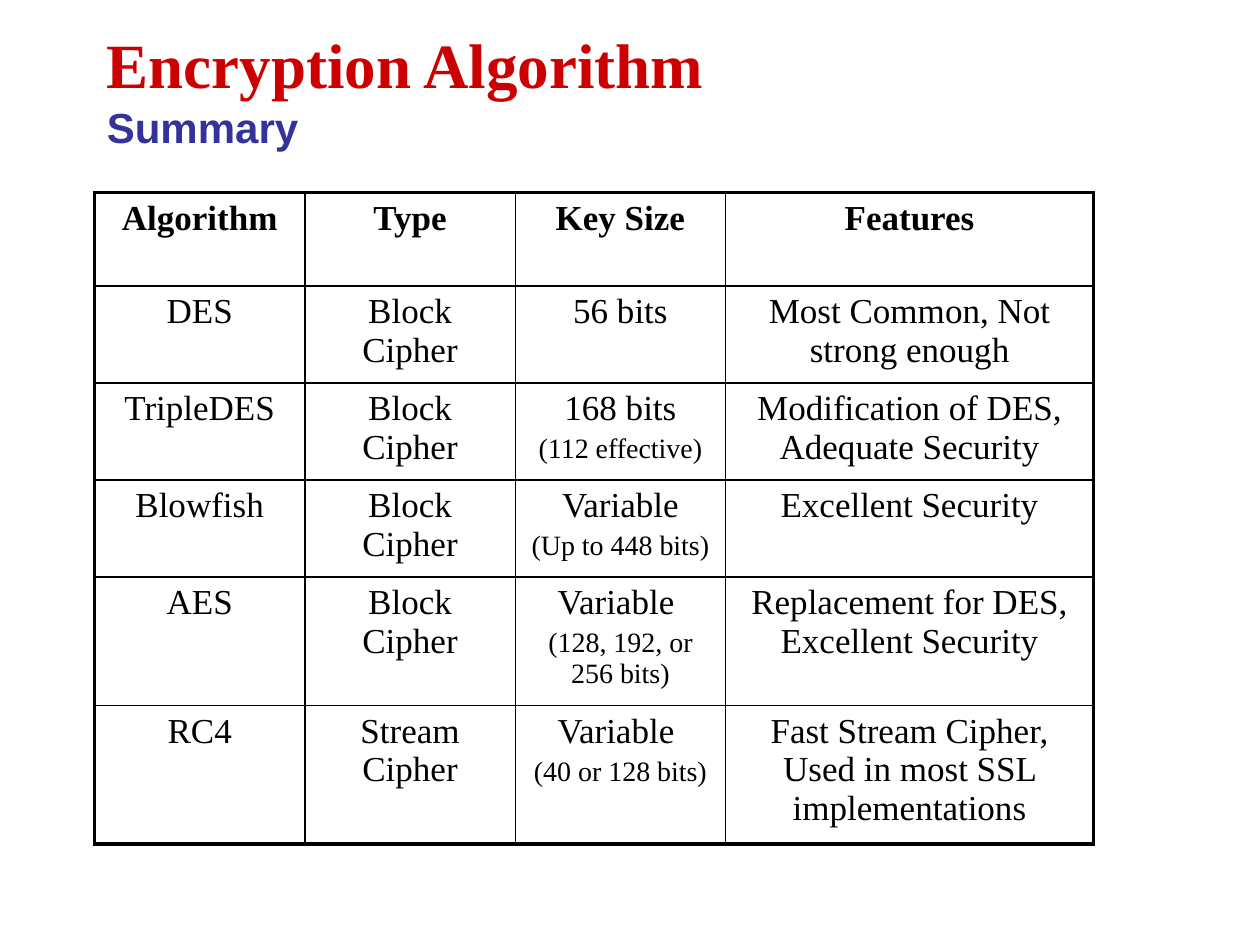
import dataclasses
import lxml.etree
import pptx
import pptx.dml.color
import pptx.enum.text
import pptx.oxml.ns
import pptx.util

RED = pptx.dml.color.RGBColor(0xCC, 0x00, 0x00)
BLUE = pptx.dml.color.RGBColor(0x33, 0x33, 0x99)
BLACK = pptx.dml.color.RGBColor(0x00, 0x00, 0x00)
SERIF = "Times New Roman"
SANS = "Arial"
WIDE, HIGH = 10, 7.5
LEFT = 0.075 * WIDE
COLS = [1.67, 1.67, 1.67, 2.92]
ROWS = [0.74, 0.77, 0.77, 0.77, 1.02, 1.1]
THIN, THICK = 1, 2.25


@dataclasses.dataclass
class Entry:
    name: str
    kind: str
    size: str
    note: str
    trait: str

    def cells(self) -> list[list[str]]:
        sizes = [self.size, self.note] if self.note else [self.size]
        return [[self.name], [self.kind], sizes, [self.trait]]


ENTRIES = [
    Entry("Algorithm", "Type", "Key Size", "", "Features"),
    Entry("DES", "Block Cipher", "56 bits", "", "Most Common, Not strong enough"),
    Entry("TripleDES", "Block Cipher", "168 bits", "(112 effective)",
          "Modification of DES, Adequate Security"),
    Entry("Blowfish", "Block Cipher", "Variable", "(Up to 448 bits)", "Excellent Security"),
    Entry("AES", "Block Cipher", "Variable ", "(128, 192, or 256 bits)",
          "Replacement for DES, Excellent Security"),
    Entry("RC4", "Stream Cipher", "Variable ", "(40 or 128 bits)",
          "Fast Stream Cipher, Used in most SSL implementations"),
]


def style(font, size: float, face: str, color, bold: bool) -> None:
    font.size = pptx.util.Pt(size)
    font.name = face
    font.color.rgb = color
    font.bold = bold


def draw_title(slide) -> None:
    box = slide.shapes.add_textbox(
        *map(pptx.util.Inches, (LEFT, 0.08, 0.85 * WIDE, HIGH / 6)))
    frame = box.text_frame
    frame.word_wrap = True
    frame.vertical_anchor = pptx.enum.text.MSO_ANCHOR.MIDDLE
    para = frame.paragraphs[0]
    head = para.add_run()
    head.text = "Encryption Algorithm "
    style(head.font, 36, SERIF, RED, True)
    para.add_line_break()
    sub = para.add_run()
    sub.text = "Summary"
    style(sub.font, 24, SANS, BLUE, True)


def edge(cell, tag: str, width: float) -> None:
    props = cell._tc.get_or_add_tcPr()
    line = lxml.etree.SubElement(
        props, pptx.oxml.ns.qn(tag), w=str(int(pptx.util.Pt(width))))
    fill = lxml.etree.SubElement(line, pptx.oxml.ns.qn("a:solidFill"))
    lxml.etree.SubElement(fill, pptx.oxml.ns.qn("a:srgbClr"), val=str(BLACK))


def fill_cell(cell, lines: list[str], bold: bool) -> None:
    frame = cell.text_frame
    for i, text in enumerate(lines):
        para = frame.add_paragraph() if i else frame.paragraphs[0]
        para.text = text
        para.alignment = pptx.enum.text.PP_ALIGN.CENTER
        style(para.font, 16 if i else 20, SERIF, BLACK, bold)
        if i:
            para.space_before = pptx.util.Pt(3.2)


def draw_table(slide) -> None:
    frame = slide.shapes.add_table(
        len(ROWS), len(COLS),
        *map(pptx.util.Inches, (LEFT, 1.53, sum(COLS), sum(ROWS))))
    table = frame.table
    table.first_row = table.horz_banding = False
    for col, width in zip(table.columns, COLS):
        col.width = pptx.util.Inches(width)
    for row, height in zip(table.rows, ROWS):
        row.height = pptx.util.Inches(height)
    for r, entry in enumerate(ENTRIES):
        for c, lines in enumerate(entry.cells()):
            cell = table.cell(r, c)
            fill_cell(cell, lines, r == 0)
            outer = {
                "a:lnL": c == 0,
                "a:lnR": c == len(COLS) - 1,
                "a:lnT": r == 0,
                "a:lnB": r == len(ROWS) - 1,
            }
            for tag, rim in outer.items():
                edge(cell, tag, THICK if rim else THIN)
            cell.fill.background()


def main() -> None:
    deck = pptx.Presentation()
    deck.slide_width = pptx.util.Inches(WIDE)
    deck.slide_height = pptx.util.Inches(HIGH)
    slide = deck.slides.add_slide(deck.slide_layouts[6])
    draw_title(slide)
    draw_table(slide)
    deck.save("out.pptx")


if __name__ == "__main__":
    main()
